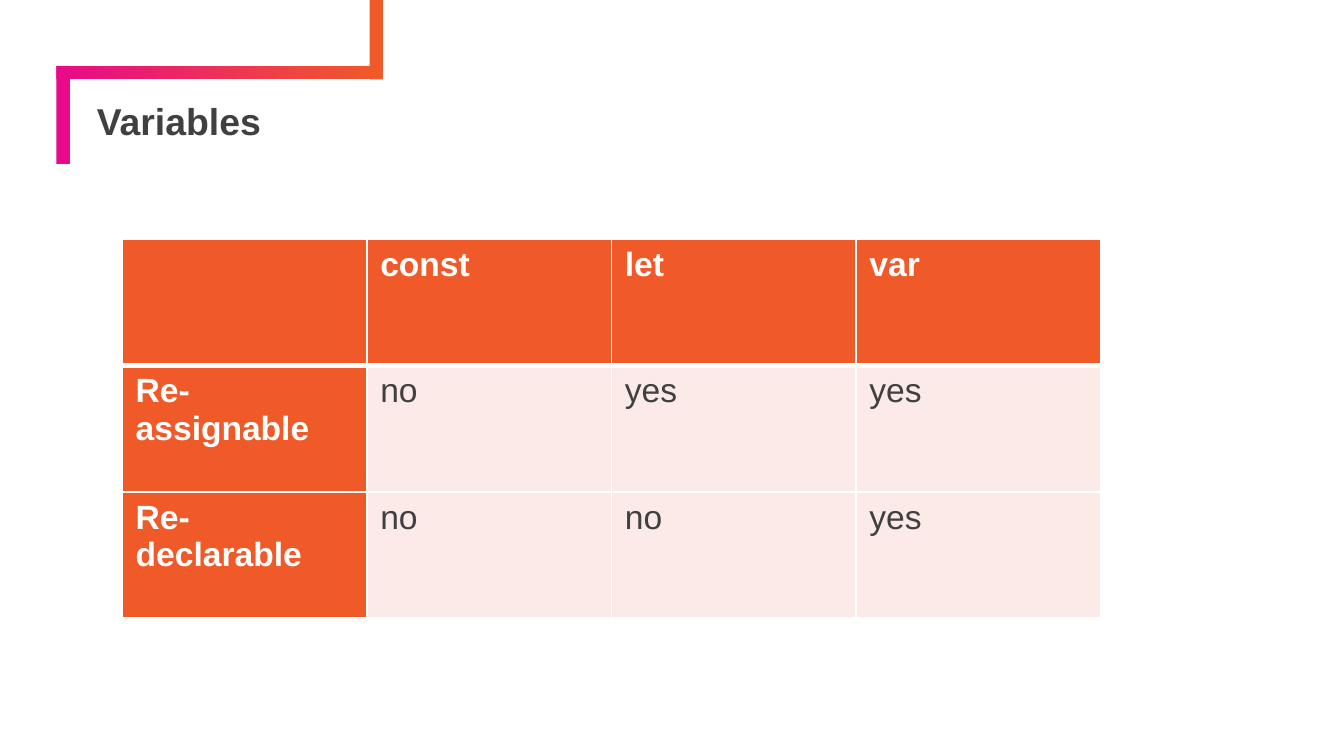
from dataclasses import dataclass

from lxml import etree
from pptx import Presentation
from pptx.dml.color import RGBColor
from pptx.enum.shapes import MSO_SHAPE
from pptx.enum.text import MSO_ANCHOR, MSO_AUTO_SIZE, PP_ALIGN
from pptx.oxml.ns import qn
from pptx.util import Inches, Pt

RECTANGLE = MSO_SHAPE.RECTANGLE
BOTTOM = MSO_ANCHOR.BOTTOM
LEFT = PP_ALIGN.LEFT
NO_AUTOFIT = MSO_AUTO_SIZE.NONE
TITLE_ONLY = 5

TITLE = "Variables"
ROWS = [
    ["", "const", "let", "var"],
    ["Re-assignable", "no", "yes", "yes"],
    ["Re-declarable", "no", "no", "yes"],
]


@dataclass(frozen=True)
class Theme:
    font: str = "Arial"
    orange: str = "F05A28"
    magenta: str = "E80A89"
    blush: str = "FCEAE8"
    ink: str = "404040"
    white: str = "FFFFFF"
    title_size: int = 20
    table_size: int = 18
    thin_border: int = 1
    thick_border: int = 3


THEME = Theme()

SLIDE_WIDTH = 10
SLIDE_HEIGHT = SLIDE_WIDTH * 9 / 16
BAR = 0.1
FRAME_LEFT, FRAME_TOP, FRAME_WIDTH = 0.42, 0.49, 2.43
TAIL_HEIGHT = 0.73
# left, top, width, height, colours from left to right
FRAME_BARS = [
    (FRAME_LEFT, FRAME_TOP, FRAME_WIDTH, BAR, (THEME.magenta, THEME.orange)),
    (FRAME_LEFT, FRAME_TOP, BAR, TAIL_HEIGHT, (THEME.magenta,)),
    (FRAME_LEFT + FRAME_WIDTH - BAR, 0, BAR, FRAME_TOP + BAR, (THEME.orange,)),
]
TITLE_BOX = (0.67, 0.78, 9.03, 0.34)
TABLE_LEFT, TABLE_TOP = 0.91, 1.78
COLUMN_WIDTH, ROW_HEIGHT = 1.82, 0.94


def color(value):
    return RGBColor.from_string(value)


def style_text(para, size, ink, bold):
    para.alignment = LEFT
    for span in para.runs:
        span.font.name = THEME.font
        span.font.size = Pt(size)
        span.font.bold = bold
        span.font.color.rgb = color(ink)


def add_bar(slide, left, top, width, height, colors):
    bar = slide.shapes.add_shape(RECTANGLE, *map(Inches, (left, top, width, height)))
    bar.shadow.inherit = False
    bar.line.fill.background()
    if len(colors) == 1:
        bar.fill.solid()
        bar.fill.fore_color.rgb = color(colors[0])
    else:
        bar.fill.gradient()
        bar.fill.gradient_angle = 0
        for stop, value in zip(bar.fill.gradient_stops, colors):
            stop.color.rgb = color(value)


def add_title(slide):
    title = slide.shapes.title
    title.left, title.top, title.width, title.height = map(Inches, TITLE_BOX)
    frame = title.text_frame
    frame.text = TITLE
    frame.word_wrap = True
    frame.auto_size = NO_AUTOFIT
    frame.vertical_anchor = BOTTOM
    frame.margin_left = frame.margin_right = Inches(0.05)
    frame.margin_top = frame.margin_bottom = Inches(0.05)
    para = frame.paragraphs[0]
    para.line_spacing = 0.9
    style_text(para, THEME.title_size, THEME.ink, True)


def set_borders(cell, top, bottom):
    """Draw white cell borders; python-pptx has no method for them."""
    properties = cell._tc.get_or_add_tcPr()
    widths = {"L": THEME.thin_border, "R": THEME.thin_border, "T": top, "B": bottom}
    for side, width in widths.items():
        line = etree.SubElement(properties, qn(f"a:ln{side}"), w=str(Pt(width)))
        fill = etree.SubElement(line, qn("a:solidFill"))
        etree.SubElement(fill, qn("a:srgbClr"), val=THEME.white)


def add_table(slide):
    row_count, column_count = len(ROWS), len(ROWS[0])
    table = slide.shapes.add_table(
        row_count, column_count, Inches(TABLE_LEFT), Inches(TABLE_TOP),
        Inches(COLUMN_WIDTH * column_count), Inches(ROW_HEIGHT * row_count),
    ).table
    table.first_col = True
    table.horz_banding = False
    # Rule i lies above row i; the one under the header is thick.
    rules = [THEME.thin_border] * (row_count + 1)
    rules[1] = THEME.thick_border
    for row, values in enumerate(ROWS):
        for column, value in enumerate(values):
            heading = row == 0 or column == 0
            cell = table.cell(row, column)
            set_borders(cell, rules[row], rules[row + 1])
            cell.fill.solid()
            cell.fill.fore_color.rgb = color(THEME.orange if heading else THEME.blush)
            cell.text_frame.text = value
            style_text(cell.text_frame.paragraphs[0], THEME.table_size,
                       THEME.white if heading else THEME.ink, heading)


def main():
    deck = Presentation()
    deck.slide_width, deck.slide_height = Inches(SLIDE_WIDTH), Inches(SLIDE_HEIGHT)
    slide = deck.slides.add_slide(deck.slide_layouts[TITLE_ONLY])
    slide.background.fill.solid()
    slide.background.fill.fore_color.rgb = color(THEME.white)
    for bar in FRAME_BARS:
        add_bar(slide, *bar)
    add_title(slide)
    add_table(slide)
    deck.save("out.pptx")


if __name__ == "__main__":
    main()
